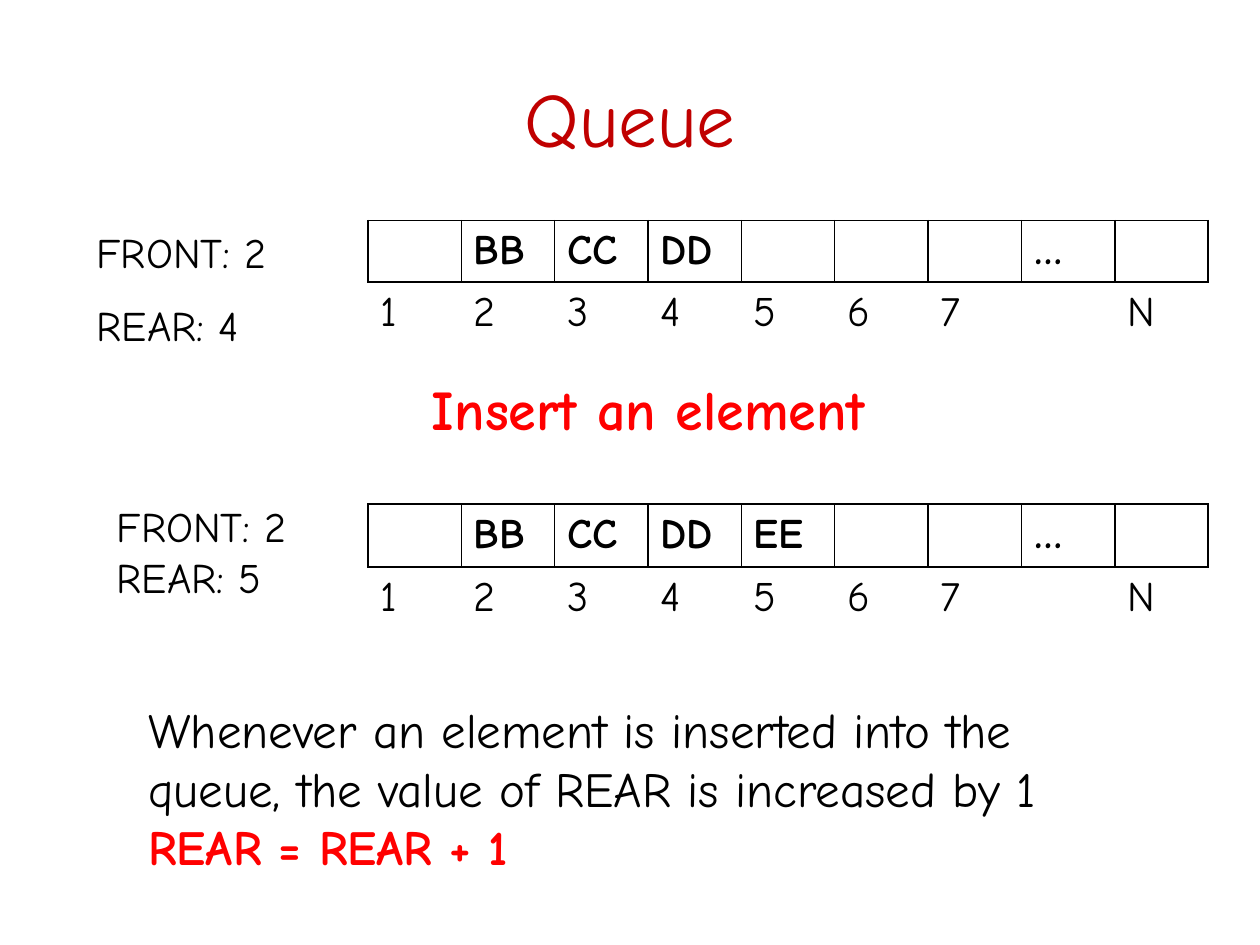
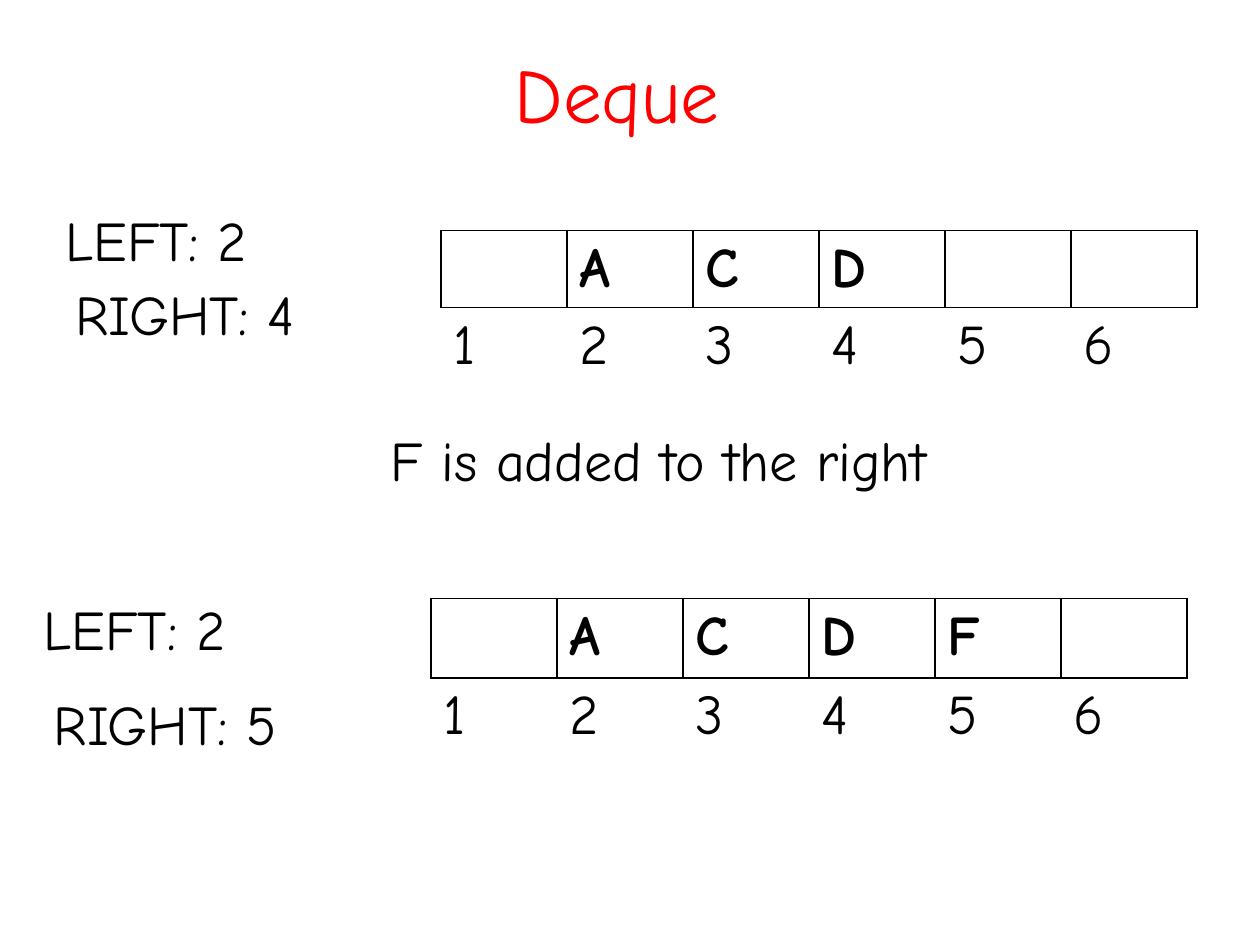
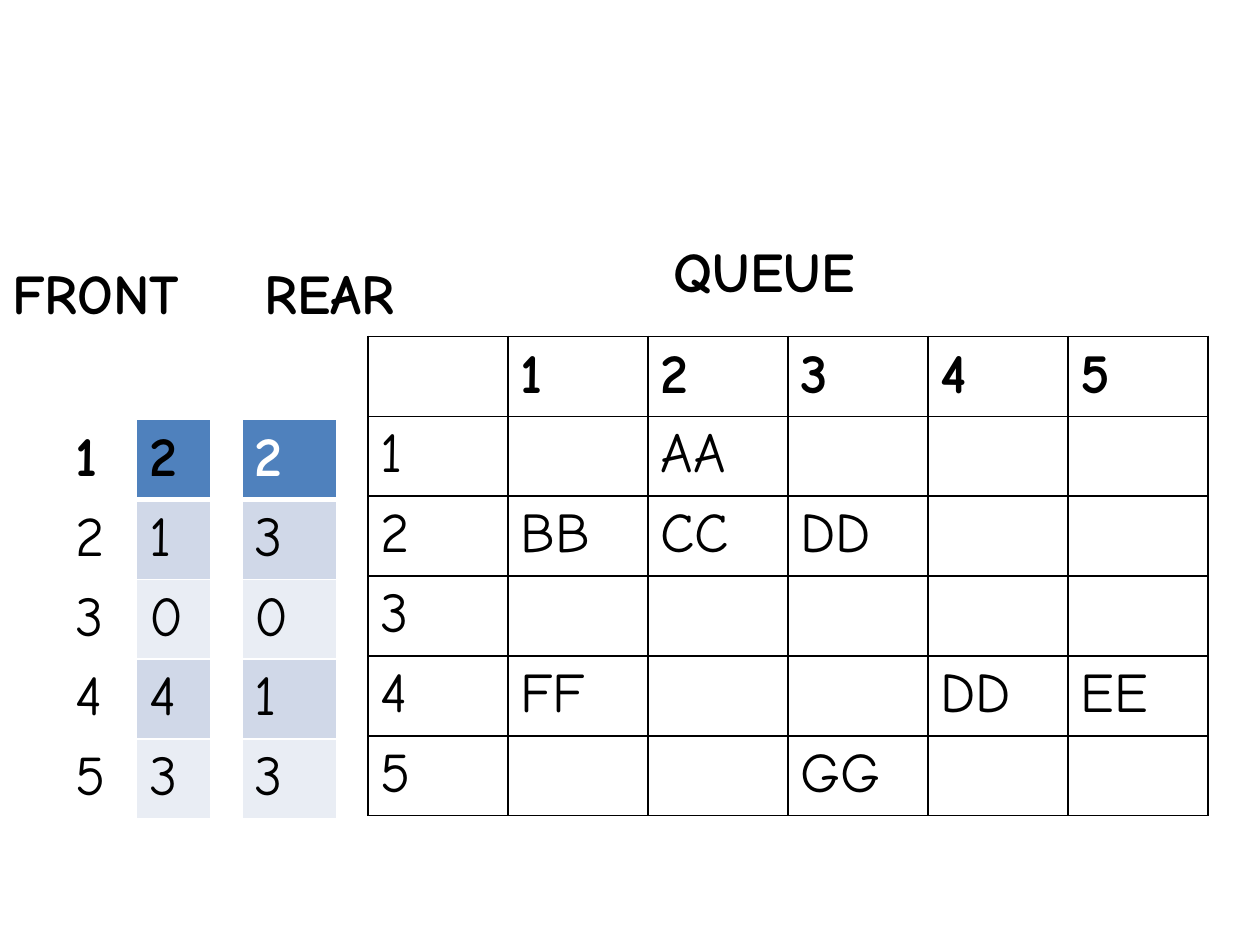
from lxml import etree
from pptx import Presentation
from pptx.dml.color import RGBColor
from pptx.enum.text import MSO_ANCHOR, PP_ALIGN
from pptx.oxml.ns import qn
from pptx.util import Inches, Pt

FONT = "Comic Neue"
BLACK = RGBColor(0x00, 0x00, 0x00)
WHITE = RGBColor(0xFF, 0xFF, 0xFF)
RED = RGBColor(0xFF, 0x00, 0x00)
DARK_RED = RGBColor(0xC0, 0x00, 0x00)
HEADER_BLUE = RGBColor(0x4F, 0x81, 0xBD)
BANDS = (RGBColor(0xD0, 0xD8, 0xE8), RGBColor(0xE9, 0xED, 0xF4))

TITLE_ONLY, BLANK = 5, 6
SIDES = ("L", "R", "T", "B")
BLACK_GRID = {side: (BLACK, 1) for side in SIDES}
WHITE_GRID = {side: (WHITE, 1) for side in SIDES}
WHITE_HEADER = {**WHITE_GRID, "B": (WHITE, 3)}
INDEX_EDGE = {"T": (BLACK, 1)}

# Labels: (left, top, width, height), text, format
ARRAY_SLIDES = [
    {
        "title": ("Queue", (0.5, 0.3, 9, 1.25), DARK_RED),
        "size": 24,
        "width": 6.67,
        "indices": ["1", "2", "3", "4", "5", "6", "7", "", "N"],
        "arrays": [
            (2.92, 1.75, 0.49, ["", "BB", "CC", "DD", "", "", "", "…", ""]),
            (2.92, 4, 0.5, ["", "BB", "CC", "DD", "EE", "", "", "…", ""]),
        ],
        "labels": [
            ((0.67, 1.75, 1.83, 0.5), "FRONT: 2", {}),
            ((0.67, 2.33, 1.83, 0.5), "REAR: 4", {}),
            ((3.33, 2.92, 5.5, 0.64), "Insert an element ",
             {"size": 32, "color": RED, "bold": True}),
            ((0.83, 3.92, 1.83, 0.5), "FRONT: 2", {}),
            ((0.83, 4.33, 1.83, 0.5), "REAR: 5", {}),
        ],
    },
    {
        "title": ("Deque ", (0.5, 0.3, 9, 0.87), RED),
        "size": 32,
        "width": 6,
        "indices": ["1", "2", "3", "4", "5", "6"],
        "arrays": [
            (3.5, 1.83, 0.61, ["", "A", "C", "D", "", ""]),
            (3.42, 4.75, 0.63, ["", "A", "C", "D", "F", ""]),
        ],
        "labels": [
            ((0.42, 1.58, 2.17, 0.64), "LEFT: 2", {}),
            ((0.5, 2.17, 2.25, 0.64), "RIGHT: 4 ", {}),
            ((3, 3.33, 5.33, 0.64), "F is added to the right ", {}),
            ((0.25, 4.67, 2.17, 0.64), "LEFT: 2", {}),
            ((0.33, 5.42, 2.25, 0.64), "RIGHT: 5 ", {}),
        ],
    },
]

RULE_BOX = (1.08, 5.5, 8.08, 1.51)
RULE = [
    ("Whenever an element is inserted into the queue, "
     "the value of REAR is increased by 1", {}),
    ("REAR = REAR + 1", {"color": RED, "bold": True}),
]

QUEUE_MATRIX = [
    ["", "1", "2", "3", "4", "5"],
    ["1", "", "AA", "", "", ""],
    ["2", "BB", "CC", "DD", "", ""],
    ["3", "", "", "", "", ""],
    ["4", "FF", "", "", "DD", "EE"],
    ["5", "", "", "GG", "", ""],
]
FRONT_ROWS = [["1", "2"], ["2", "1"], ["3", "0"], ["4", "4"], ["5", "3"]]
REAR_ROWS = [["2"], ["3"], ["0"], ["1"], ["3"]]
HEADINGS = [
    ((0, 2, 1.92, 0.64), "FRONT"),
    ((2, 2, 1.75, 0.64), "REAR"),
    ((5.25, 1.83, 1.92, 0.64), "QUEUE"),
]


def write(paragraph, text, size=32, color=BLACK, bold=False, align=None):
    """Put one formatted run of text into a paragraph."""
    run = paragraph.add_run()
    run.text = text
    run.font.name = FONT
    run.font.size = Pt(size)
    run.font.color.rgb = color
    run.font.bold = bold
    paragraph.alignment = align


def add_label(slide, box, lines):
    """Add a wrapping text box with one paragraph per (text, format)."""
    frame = slide.shapes.add_textbox(*map(Inches, box)).text_frame
    frame.word_wrap = True
    for i, (text, style) in enumerate(lines):
        paragraph = frame.add_paragraph() if i else frame.paragraphs[0]
        write(paragraph, text, **style)


def set_title(slide, text, box, color):
    """Move and fill the title placeholder."""
    title = slide.shapes.title
    title.left, title.top, title.width, title.height = map(Inches, box)
    title.text_frame.vertical_anchor = MSO_ANCHOR.MIDDLE
    write(title.text_frame.paragraphs[0], text, size=44, color=color,
          align=PP_ALIGN.CENTER)


def set_borders(cell, borders):
    """Draw the given sides of a cell and clear the others."""
    properties = cell._tc.get_or_add_tcPr()
    for position, side in enumerate(SIDES):
        line = etree.Element(qn(f"a:ln{side}"))
        if side in borders:
            color, width = borders[side]
            line.set("w", str(Pt(width)))
            fill = etree.SubElement(line, qn("a:solidFill"))
            etree.SubElement(fill, qn("a:srgbClr")).set("val", str(color))
        else:
            etree.SubElement(line, qn("a:noFill"))
        properties.insert(position, line)


def add_grid(slide, left, top, width, row_height, rows, look):
    """Add a table; look(row, column) gives borders, fill and text format."""
    count = len(rows)
    table = slide.shapes.add_table(
        count, len(rows[0]), Inches(left), Inches(top),
        Inches(width), Inches(row_height * count)).table
    table.first_row = table.horz_banding = False
    for r, values in enumerate(rows):
        table.rows[r].height = Inches(row_height)
        for c, value in enumerate(values):
            cell = table.cell(r, c)
            borders, fill, style = look(r, c)
            if fill is None:
                cell.fill.background()
            else:
                cell.fill.solid()
                cell.fill.fore_color.rgb = fill
            set_borders(cell, borders)
            if value:
                write(cell.text_frame.paragraphs[0], value, **style)


def array_look(size):
    """Return the look of a boxed array above its unboxed indices."""
    return lambda r, c: (INDEX_EDGE if r else BLACK_GRID, None,
                         {"size": size, "bold": r == 0})


def matrix_look(r, c):
    """Give a black grid with a bold first row."""
    return BLACK_GRID, None, {"bold": r == 0}


def banded_look(value_column, header_color):
    """Return the look of a banded list whose values sit in one column."""
    def look(r, c):
        """Shade the value column; leave row numbers clear."""
        shade = BANDS[(r - 1) % 2] if r else HEADER_BLUE
        return (WHITE_GRID if r else WHITE_HEADER,
                shade if c == value_column else None,
                {"bold": r == 0, "color": BLACK if r else header_color})
    return look


def add_array_slide(deck, content):
    """Build a slide showing an array before and after a step."""
    slide = deck.slides.add_slide(deck.slide_layouts[TITLE_ONLY])
    set_title(slide, *content["title"])
    for left, top, row_height, values in content["arrays"]:
        add_grid(slide, left, top, content["width"], row_height,
                 [values, content["indices"]], array_look(content["size"]))
    for box, text, style in content["labels"]:
        add_label(slide, box, [(text, {"size": content["size"], **style})])
    return slide


def add_matrix_slide(deck):
    """Build the slide with the queue matrix and its pointer lists."""
    slide = deck.slides.add_slide(deck.slide_layouts[BLANK])
    add_grid(slide, 2.92, 2.67, 6.67, 0.61, QUEUE_MATRIX, matrix_look)
    add_grid(slide, 0.5, 3.33, 1.17, 0.63, FRONT_ROWS, banded_look(1, BLACK))
    add_grid(slide, 1.92, 3.33, 0.75, 0.63, REAR_ROWS, banded_look(0, WHITE))
    for box, text in HEADINGS:
        add_label(slide, box, [(text, {"bold": True})])


deck = Presentation()
deck.slide_width, deck.slide_height = Inches(10), Inches(7.5)
queue_slide, deque_slide = [add_array_slide(deck, c) for c in ARRAY_SLIDES]
add_label(queue_slide, RULE_BOX,
          [(text, {"size": 28, **style}) for text, style in RULE])
add_matrix_slide(deck)
deck.save("out.pptx")
